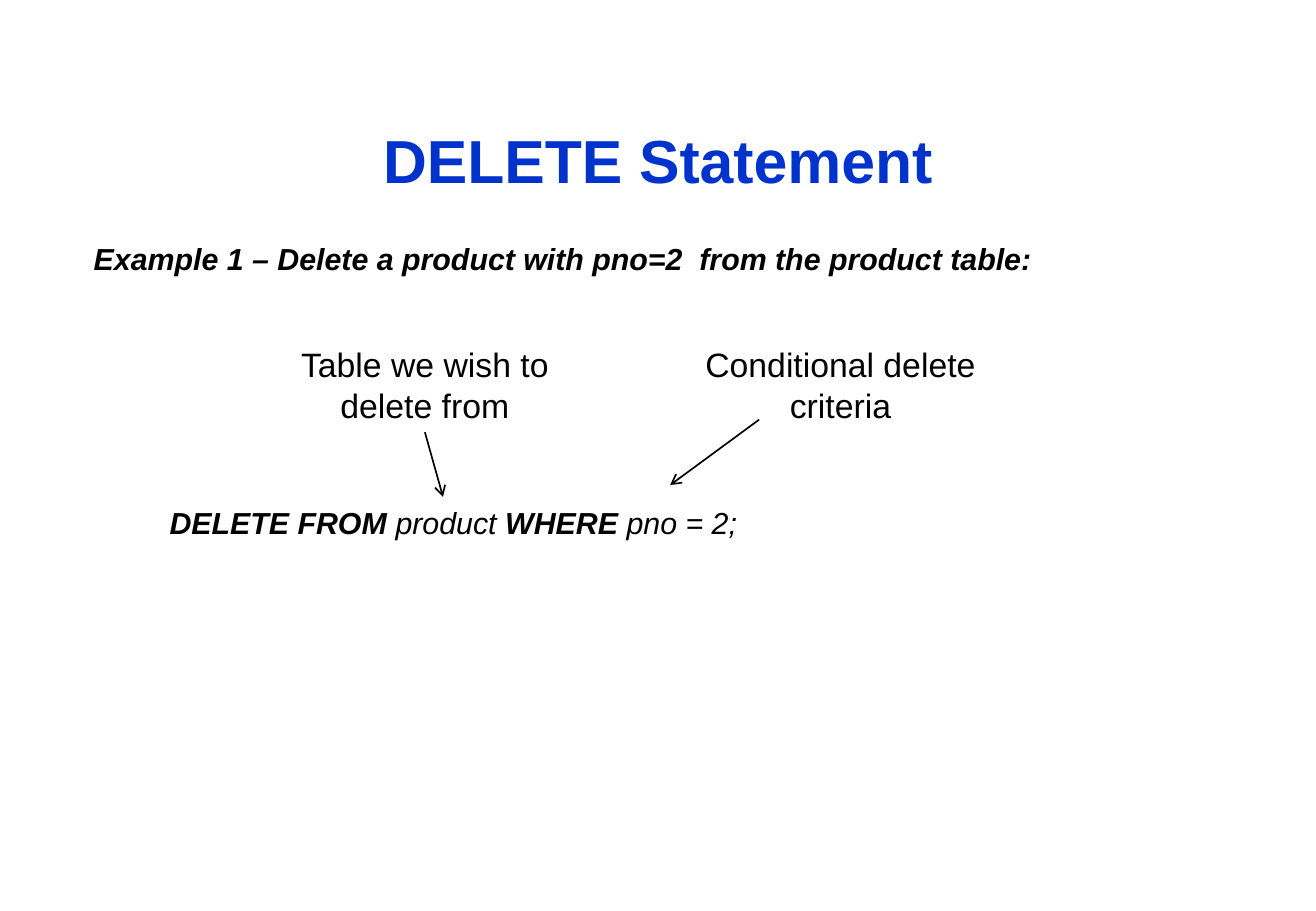
from dataclasses import dataclass

from lxml import etree
from pptx import Presentation
from pptx.dml.color import RGBColor
from pptx.enum.shapes import MSO_CONNECTOR
from pptx.enum.text import MSO_ANCHOR, PP_ALIGN
from pptx.oxml.ns import qn
from pptx.shapes.autoshape import Shape
from pptx.slide import Slide
from pptx.util import Pt

BLACK = "000000"
BLUE = "0033CC"
BOTTOM_SIDE = 2


@dataclass
class Span:
    text: str
    bold: bool = False
    italic: bool = False


@dataclass
class Para:
    spans: list[Span]
    size: float
    color: str = BLACK
    align: PP_ALIGN = PP_ALIGN.LEFT
    space_before: float = 0
    indent: float = 0


@dataclass
class TextBox:
    left: float
    top: float
    width: float
    height: float
    paras: list[Para]
    anchor: MSO_ANCHOR = MSO_ANCHOR.TOP


@dataclass
class Arrow:
    start: tuple[float, float]
    end: tuple[float, float]
    source: Shape | None = None


def rgb(color: str) -> RGBColor:
    return RGBColor.from_string(color)


def set_all(target: object, values: dict[str, object]) -> None:
    for name, value in values.items():
        setattr(target, name, value)


def add_text(page: Slide, box: TextBox) -> Shape:
    shape = page.shapes.add_textbox(
        Pt(box.left), Pt(box.top), Pt(box.width), Pt(box.height))
    frame = shape.text_frame
    set_all(frame, {"word_wrap": True, "vertical_anchor": box.anchor})
    for index, para in enumerate(box.paras):
        paragraph = frame.add_paragraph() if index else frame.paragraphs[0]
        set_all(paragraph, {"alignment": para.align, "space_before": Pt(para.space_before)})
        if para.indent:
            paragraph._p.get_or_add_pPr().set("marL", str(Pt(para.indent)))
        for span in para.spans:
            run = paragraph.add_run()
            run.text = span.text
            set_all(run.font, {"name": "Arial", "size": Pt(para.size),
                               "bold": span.bold, "italic": span.italic})
            run.font.color.rgb = rgb(para.color)
    return shape


def add_arrow(page: Slide, arrow: Arrow) -> None:
    ends = (Pt(value) for value in arrow.start + arrow.end)
    connector = page.shapes.add_connector(MSO_CONNECTOR.STRAIGHT, *ends)
    if arrow.source is not None:
        connector.begin_connect(arrow.source, BOTTOM_SIDE)
    connector.line.width = Pt(1)
    connector.line.color.rgb = rgb(BLACK)
    etree.SubElement(connector.line._get_or_add_ln(), qn("a:tailEnd"), type="arrow")
    etree.SubElement(connector._element.spPr, qn("a:effectLst"))


def callout(left: float, text: str) -> TextBox:
    return TextBox(left, 200.5, 176, 55.75, [Para([Span(text)], 20, align=PP_ALIGN.CENTER)])


def main() -> None:
    deck = Presentation()
    deck.slide_width = Pt(780.48)
    deck.slide_height = Pt(540)
    page = deck.slides.add_slide(deck.slide_layouts[6])

    title = Para([Span("DELETE Statement", bold=True)], 36, BLUE, PP_ALIGN.CENTER)
    add_text(page, TextBox(49, 24, 682.5, 95.5, [title], MSO_ANCHOR.BOTTOM))

    example = Para([Span("Example 1 – Delete a product with pno=2  from the product table:",
                         bold=True, italic=True)], 18)
    statement = Para([
        Span("DELETE FROM ", bold=True, italic=True),
        Span("product ", italic=True),
        Span("WHERE", bold=True, italic=True),
        Span(" pno = 2;", italic=True),
    ], 18, space_before=135, indent=45)
    add_text(page, TextBox(48.5, 138.5, 697.5, 336, [example, statement]))

    table_note = add_text(page, callout(164, "Table we wish to delete from"))
    add_text(page, callout(410.5, "Conditional delete criteria"))

    add_arrow(page, Arrow((252, 256.25), (262.75, 294.5), table_note))
    add_arrow(page, Arrow((450.25, 248.75), (397.5, 287.5)))

    deck.save("out.pptx")


if __name__ == "__main__":
    main()
